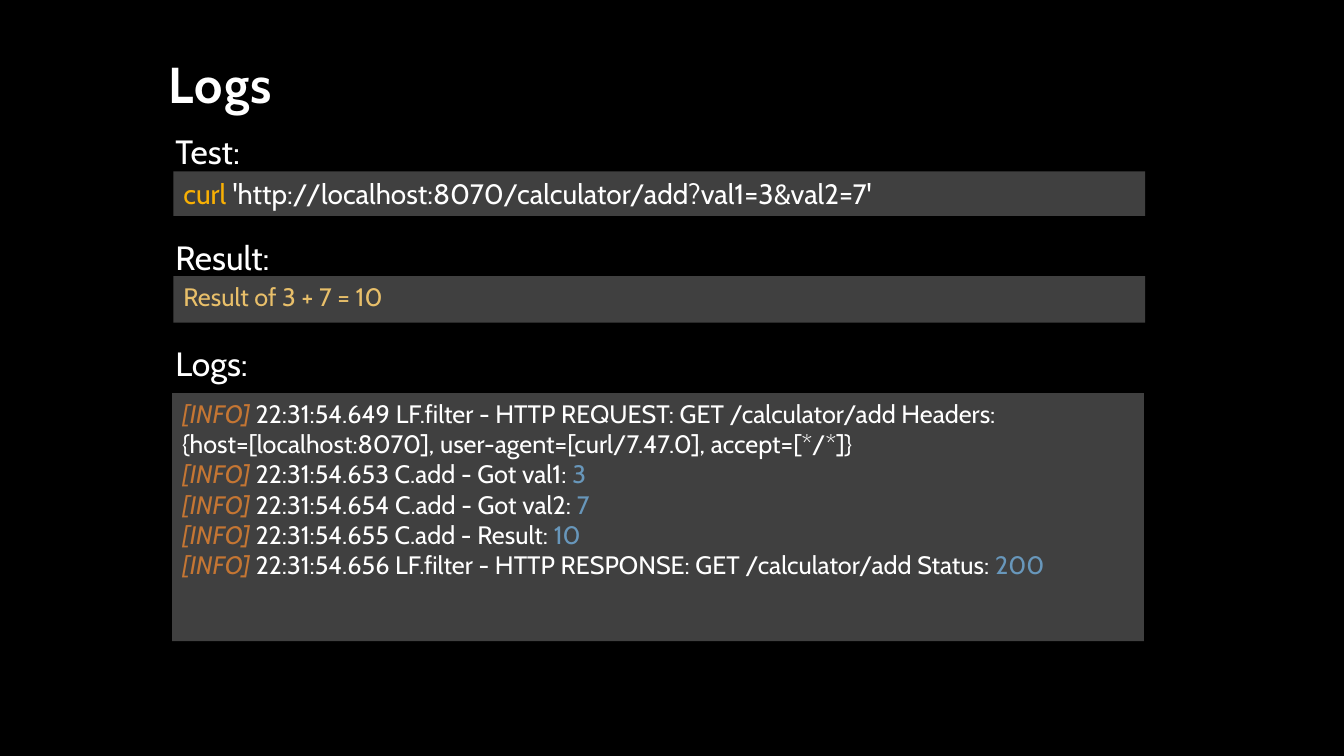
"""Build the slide that shows a test call, its result and its logs."""
import pptx
import pptx.dml.color
import pptx.enum.shapes
import pptx.enum.text
import pptx.util

Cm, Pt = pptx.util.Cm, pptx.util.Pt

THEME = {
    "font": "Cabin",
    "back": "000000", "panel": "404040", "plain": "FFFFFF",
    "cmd": "F8B004", "out": "E8BF6A", "info": "C57633", "num": "6897BB",
    "title": 36, "label": 24, "call": 20, "log": 18,
}

TITLE = "Logs"
LABELS = ["Test:", "Result:", "Logs:"]
CALL = [[("curl", "cmd"),
         (" 'http://localhost:8070/calculator/add?val1=3&val2=7'", "plain")]]
RESULT = [[("Result of 3 + 7 = 10", "out")]]
EVENTS = [
    ("22:31:54.649 LF.filter - HTTP REQUEST: GET /calculator/add Headers: "
     "{host=[localhost:8070], user-agent=[curl/7.47.0], accept=[*/*]}", ""),
    ("22:31:54.653 C.add - Got val1: ", "3"),
    ("22:31:54.654 C.add - Got val2: ", "7"),
    ("22:31:54.655 C.add - Result: ", "10"),
    ("22:31:54.656 LF.filter - HTTP RESPONSE: GET /calculator/add Status: ", "200"),
]
LOGS = [[("[INFO] ", "info"), (text, "plain")] + ([(num, "num")] if num else [])
        for text, num in EVENTS]

PANELS = [
    (4.37, 4.32, 1.12, "call", CALL),
    (4.37, 6.96, 1.17, "log", RESULT),
    (4.34, 9.91, 6.25, "log", LOGS),
]
WIDTH = 24.49


def tint(name):
    return pptx.dml.color.RGBColor.from_string(THEME[name])


def style(font, size, color):
    font.name = THEME["font"]
    font.size = Pt(THEME[size])
    font.color.rgb = tint(color)


def add_box(slide, left, top, width, height, lines, size):
    box = slide.shapes.add_textbox(Cm(left), Cm(top), Cm(width), Cm(height))
    frame = box.text_frame
    frame.word_wrap = True
    frame.text = "\n".join(lines)
    for para in frame.paragraphs:
        para.line_spacing = 0.9
        for run in para.runs:
            style(run.font, size, "plain")
    return frame


def add_panel(slide, left, top, height, size, lines):
    panel = slide.shapes.add_shape(pptx.enum.shapes.MSO_SHAPE.RECTANGLE,
                                   Cm(left), Cm(top), Cm(WIDTH), Cm(height))
    panel.shadow.inherit = False
    panel.fill.solid()
    panel.fill.fore_color.rgb = tint("panel")
    panel.line.fill.background()
    frame = panel.text_frame
    frame.word_wrap = True
    frame.vertical_anchor = pptx.enum.text.MSO_ANCHOR.TOP
    for index, line in enumerate(lines):
        para = frame.add_paragraph() if index else frame.paragraphs[0]
        para.alignment = pptx.enum.text.PP_ALIGN.LEFT
        for text, color in line:
            run = para.add_run()
            run.text = text
            style(run.font, size, color)
            run.font.italic = color == "info"


def main():
    deck = pptx.Presentation()
    deck.slide_width, deck.slide_height = Cm(33.87), Cm(19.05)
    slide = deck.slides.add_slide(deck.slide_layouts[6])
    slide.background.fill.solid()
    slide.background.fill.fore_color.rgb = tint("back")

    title = add_box(slide, 3.99, 0.76, 25.4, 2.26, [TITLE], "title")
    title.vertical_anchor = pptx.enum.text.MSO_ANCHOR.BOTTOM
    for run in title.paragraphs[0].runs:
        run.font.bold = True
        run.font._element.set("spc", "100")

    labels = add_box(slide, 3.53, 3.28, 25.37, 13.23, LABELS, "label")
    labels.margin_left = Cm(0.89)
    for para in labels.paragraphs[1:]:
        para.space_before = Pt(50)

    for left, top, height, size, lines in PANELS:
        add_panel(slide, left, top, height, size, lines)
    deck.save("out.pptx")


if __name__ == "__main__":
    main()
